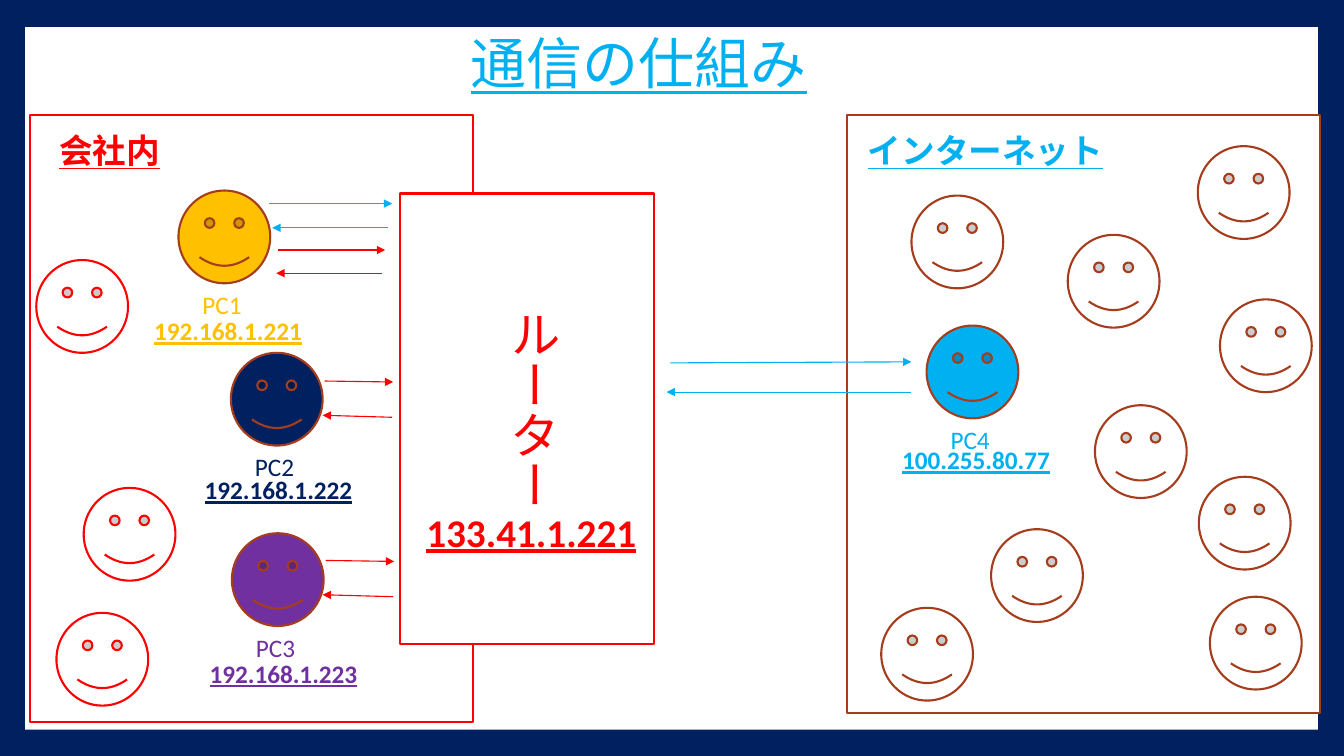
import pptx
import pptx.util
import pptx.dml.color
import pptx.enum.shapes
import pptx.enum.text
import pptx.oxml.ns
from lxml import etree
from pptx.util import Inches

COLORS = {"navy": "002060", "white": "FFFFFF", "red": "FF0000", "brown": "A53D1D",
          "sky": "00B0F0", "gold": "FFC000", "purple": "7030A0"}
SHAPES = pptx.enum.shapes.MSO_SHAPE
FACE_W, FACE_H = 0.91, 0.92

# name, address, colour, face position, address box (left, top, width)
PCS = [
    ("PC1", "192.168.1.221", "gold", (1.77, 1.89), (1.43, 3.08, 1.71)),
    ("PC2", "192.168.1.222", "navy", (2.29, 3.5), (1.93, 4.66, 1.71)),
    ("PC3", "192.168.1.223", "purple", (2.3, 5.29), (1.98, 6.48, 1.7)),
    ("PC4", "100.255.80.77", "sky", (9.19, 3.23), (8.85, 4.36, 1.69)),
]
OFFICE_FACES = [(0.83, 4.84), (0.56, 6.08), (0.36, 2.58)]
INTERNET_FACES = [(11.88, 1.45), (12.1, 2.97), (9.04, 1.94), (10.86, 4.02), (10.59, 2.33),
                  (11.89, 4.73), (9.83, 5.25), (12, 5.92), (8.74, 6.03)]
ARROWS = {
    "red": [(2.76, 2.48, 3.82, 2.48), (3.79, 2.71, 2.74, 2.71),
            (3.22, 3.78, 3.9, 3.79), (3.89, 4.14, 3.2, 4.12),
            (3.23, 5.56, 3.91, 5.57), (3.9, 5.92, 3.2, 5.9)],
    "sky": [(2.67, 2.02, 3.89, 2.02), (3.85, 2.26, 2.7, 2.26),
            (6.65, 3.6, 9.04, 3.59), (9.04, 3.89, 6.61, 3.89)],
}


def rgb(color):
    return pptx.dml.color.RGBColor.from_string(COLORS[color])


def add_outlined(s, kind, box, line, fill="white"):
    """Add a preset shape; a line of None leaves it without an outline."""
    sp = s.shapes.add_shape(kind, *map(Inches, box))
    sp.shadow.inherit = False
    sp.fill.solid()
    sp.fill.fore_color.rgb = rgb(fill)
    if line:
        sp.line.color.rgb = rgb(line)
        sp.line.width = pptx.util.Pt(1.5)
    else:
        sp.line.fill.background()
    return sp


def add_face(s, position, line, fill="white"):
    add_outlined(s, SHAPES.SMILEY_FACE, (*position, FACE_W, FACE_H), line, fill)


def write(tf, text, size, color, bold=False, underline=False, wrap=True):
    tf.word_wrap = wrap
    p = tf.paragraphs[0]
    p.text = text
    p.alignment = pptx.enum.text.PP_ALIGN.LEFT
    p.font.name = "Calibri"
    p.font.size = pptx.util.Pt(size)
    p.font.bold = bold
    p.font.underline = underline
    p.font.color.rgb = rgb(color)


def add_label(s, box, text, size, color, **style):
    tf = s.shapes.add_textbox(*map(Inches, box)).text_frame
    write(tf, text, size, color, **style)
    tf.auto_size = pptx.enum.text.MSO_AUTO_SIZE.SHAPE_TO_FIT_TEXT
    return tf


def add_address(s, box, text, size, color):
    add_label(s, box, text, size, color, bold=True, underline=True, wrap=False)


def add_arrow(s, ends, color):
    line = s.shapes.add_connector(pptx.enum.shapes.MSO_CONNECTOR.STRAIGHT, *map(Inches, ends))
    line.line.color.rgb = rgb(color)
    line.line.width = pptx.util.Pt(0.79)
    qn = pptx.oxml.ns.qn
    etree.SubElement(line.line._get_or_add_ln(), qn("a:tailEnd"), type="triangle")
    etree.SubElement(line._element.spPr, qn("a:effectLst"))


def add_title(s):
    title = s.shapes.title
    title.left, title.top, title.width, title.height = map(Inches, (4.57, 0.23, 3.57, 0.77))
    tf = title.text_frame
    write(tf, "通信の仕組み", 40, "sky", underline=True, wrap=False)
    tf.vertical_anchor = pptx.enum.text.MSO_ANCHOR.TOP
    tf.auto_size = pptx.enum.text.MSO_AUTO_SIZE.SHAPE_TO_FIT_TEXT


def add_page(s):
    """Put the white page behind the title."""
    page = add_outlined(s, SHAPES.RECTANGLE, (0.25, 0.27, 12.82, 6.97), None)
    s.shapes.title._element.addprevious(page._element)


def add_pc(s, name, address, color, position, address_box):
    add_face(s, position, "brown", color)
    x, y = position
    add_label(s, (x + 0.14, y + 0.93, 0.76, 0.4), name, 18, color)
    add_address(s, (*address_box, 0.4), address, 18, color)


def add_router(s):
    add_outlined(s, SHAPES.RECTANGLE, (3.97, 1.92, 2.52, 4.47), "red")
    tf = add_label(s, (4.83, 2.97, 0.81, 2.29), "ルーター", 36, "red")
    tf._txBody.bodyPr.set("vert", "eaVert")
    add_address(s, (4.13, 4.99, 2.55, 0.57), "133.41.1.221", 28, "red")


def main():
    prs = pptx.Presentation()
    prs.slide_width, prs.slide_height = Inches(13.33), Inches(7.5)
    s = prs.slides.add_slide(prs.slide_layouts.get_by_name("Title Only"))
    s.background.fill.solid()
    s.background.fill.fore_color.rgb = rgb("navy")
    add_title(s)
    add_page(s)

    add_outlined(s, SHAPES.RECTANGLE, (8.4, 1.14, 4.69, 5.93), "brown")
    add_outlined(s, SHAPES.RECTANGLE, (0.3, 1.14, 4.39, 6.02), "red")
    add_label(s, (0.49, 1.24, 1.42, 0.5), "会社内", 24, "red", bold=True, underline=True)
    add_label(s, (8.51, 1.24, 2.61, 0.5), "インターネット", 24, "sky", bold=True, underline=True)

    for position in INTERNET_FACES:
        add_face(s, position, "brown")
    for position in OFFICE_FACES:
        add_face(s, position, "red")
    add_router(s)
    for pc in PCS:
        add_pc(s, *pc)
    for color, arrows in ARROWS.items():
        for ends in arrows:
            add_arrow(s, ends, color)
    prs.save("out.pptx")


if __name__ == "__main__":
    main()
